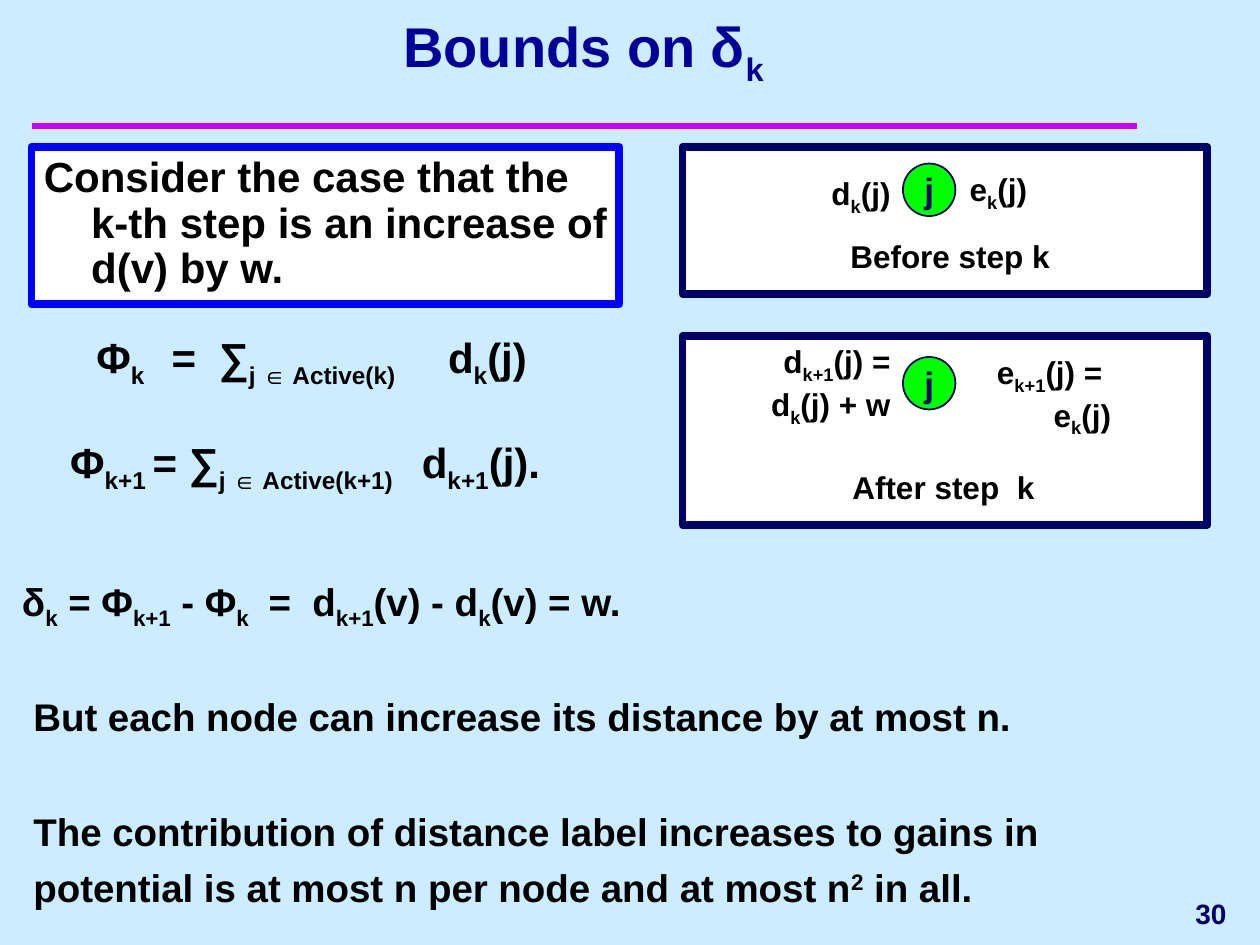
import pptx
import pptx.dml.color
import pptx.enum.shapes
import pptx.enum.text
import pptx.oxml.ns
import pptx.util
from lxml import etree

Pt = pptx.util.Pt
RGBColor = pptx.dml.color.RGBColor
Align = pptx.enum.text.PP_ALIGN
Anchor = pptx.enum.text.MSO_ANCHOR
Shape = pptx.enum.shapes.MSO_SHAPE
qn = pptx.oxml.ns.qn

SKY = RGBColor(0xCC, 0xEC, 0xFF)
MAGENTA = RGBColor(0xCC, 0x00, 0xFF)
NAVY = RGBColor(0x00, 0x00, 0x66)
TITLE_BLUE = RGBColor(0x00, 0x00, 0x99)
BLUE = RGBColor(0x00, 0x00, 0xFF)
GREEN = RGBColor(0x00, 0xFF, 0x00)
WHITE = RGBColor(0xFF, 0xFF, 0xFF)
BLACK = RGBColor(0x00, 0x00, 0x00)


class Slide:
    font = "Arial"

    def __init__(self, page):
        self.page = page
        self.canvas = page.shapes
        page.background.fill.solid()
        page.background.fill.fore_color.rgb = SKY

    def set_text(self, box, text, size, color=BLACK, align=Align.LEFT,
                 anchor=Anchor.TOP, shift=-25, tabs=(), spacing=None, wrap=True):
        frame = box.text_frame
        frame.word_wrap = wrap
        frame.auto_size = pptx.enum.text.MSO_AUTO_SIZE.NONE
        frame.vertical_anchor = anchor
        para = frame.paragraphs[0]
        if tabs:
            stops = etree.SubElement(para._p.get_or_add_pPr(), qn("a:tabLst"))
            for stop in tabs:
                etree.SubElement(stops, qn("a:tab"), pos=str(Pt(stop)), algn="l")
        para.alignment = align
        if spacing:
            para.line_spacing = spacing
        for index, part in enumerate(text.split("|")):
            for row, words in enumerate(part.split("\n")):
                if row:
                    para.add_line_break()
                span = para.add_run()
                span.text = words
                span.font.name = self.font
                span.font.size = Pt(size)
                span.font.bold = True
                span.font.color.rgb = color
                if index % 2:
                    span._r.get_or_add_rPr().set("baseline", str(shift * 1000))
        return para

    def title(self, text, left, top, width, height):
        box = self.page.shapes.title
        box.left, box.top, box.width, box.height = map(Pt, (left, top, width, height))
        self.set_text(box, text, 32, TITLE_BLUE, Align.CENTER, Anchor.BOTTOM)

    def text(self, text, left, top, width, height, size, **style):
        box = self.canvas.add_textbox(*map(Pt, (left, top, width, height)))
        return self.set_text(box, text, size, **style)

    def shape(self, kind, left, top, width, height, fill, line, weight):
        shape = self.canvas.add_shape(kind, *map(Pt, (left, top, width, height)))
        shape.shadow.inherit = False
        shape.fill.solid()
        shape.fill.fore_color.rgb = fill
        shape.line.color.rgb = line
        shape.line.width = Pt(weight)
        return shape

    def rule(self, left, right, height, color, weight):
        line = self.canvas.add_connector(
            pptx.enum.shapes.MSO_CONNECTOR.STRAIGHT,
            Pt(left), Pt(height), Pt(right), Pt(height))
        line.line.color.rgb = color
        line.line.width = Pt(weight)
        etree.SubElement(line._element.spPr, qn("a:effectLst"))

    def statement(self, text, left, top, width, height):
        box = self.shape(Shape.RECTANGLE, left, top, width, height, WHITE, BLUE, 4.5)
        box.text_frame.margin_top = Pt(5.5)
        para = self.set_text(box, text, 24, spacing=0.9)
        properties = para._p.get_or_add_pPr()
        properties.set("marL", str(Pt(27)))
        properties.set("indent", str(-Pt(27)))

    def step(self, top, height, node_top, caption, labels):
        self.canvas = self.page.shapes.add_group_shape().shapes
        self.shape(Shape.RECTANGLE, 390, top, 300, height, WHITE, NAVY, 4.5)
        node = self.shape(Shape.OVAL, 516, node_top, 30, 30, GREEN, NAVY, 1)
        self.set_text(node, "j", 20, NAVY, Align.CENTER, Anchor.MIDDLE, wrap=False)
        words, left, caption_top, width, style = caption
        self.text(words, left, caption_top, width, 29, 18, **style)
        for words, left, label_top, width, label_height in labels:
            self.text(words, left, label_top, width, label_height, 18,
                      align=Align.RIGHT)
        self.canvas = self.page.shapes


def main():
    deck = pptx.Presentation()
    deck.slide_width, deck.slide_height = Pt(720), Pt(540)
    slide = Slide(deck.slides.add_slide(deck.slide_layouts[5]))

    slide.rule(18, 650, 72, MAGENTA, 4)
    slide.title("Bounds on δ|k ", 30, 12, 612, 42)
    slide.text("30", 570, 504, 138, 36, 16, color=NAVY,
               align=Align.RIGHT, anchor=Anchor.MIDDLE)
    slide.statement("Consider the case that the k-th step is an increase "
                    "of d(v) by w.", 18, 84, 336, 90)

    slide.text("Φ|k|\t=\t∑|j ∈ Active(k)|\td|k|(j)", 48, 186, 288, 40, 24,
               tabs=(43, 70, 201))
    slide.text("Φ|k+1 |= ∑|j ∈ Active(k+1)|\td|k+1|(j).", 33, 246, 288, 40, 24,
               tabs=(201,))
    slide.text("δ|k| = Φ|k+1| - Φ|k|\t=\td|k+1|(v) - d|k|(v) = w.",
               5.5, 321, 654, 43, 22, tabs=(141, 166), spacing=1.2)
    slide.text("But each node can increase its distance by at most n.",
               12, 387, 594, 39, 22, spacing=1.2)
    slide.text("The contribution of distance label increases to gains in "
               "potential is at most n per node and at most n|2| in all.",
               12, 453, 594, 71, 22, shift=30, spacing=1.2)

    slide.step(192, 108, 204,
               ("After step\tk", 480, 264, 144, {"tabs": (94,)}),
               [("e|k+1|(j) = \ne|k|(j)", 546, 198, 96, 56),
                ("d|k+1|(j) =\nd|k|(j) + w", 402, 192, 114, 56)])
    slide.step(84, 84, 93.5,
               ("Before step k ", 456, 132, 156, {"align": Align.RIGHT}),
               [("e|k|(j)", 546, 93.5, 48, 32),
                ("d|k|(j)", 462, 96, 54, 32)])

    deck.save("out.pptx")


if __name__ == "__main__":
    main()
